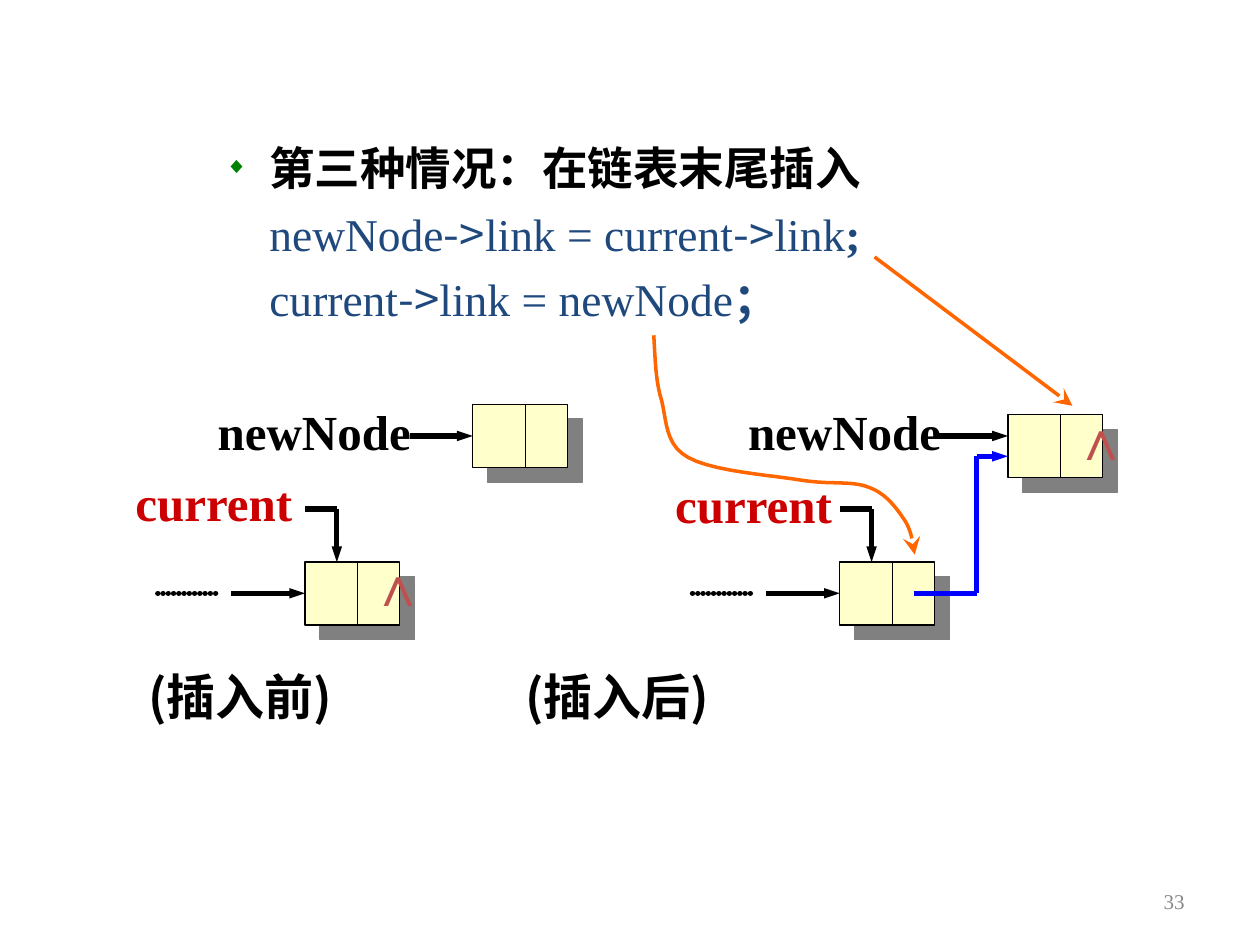
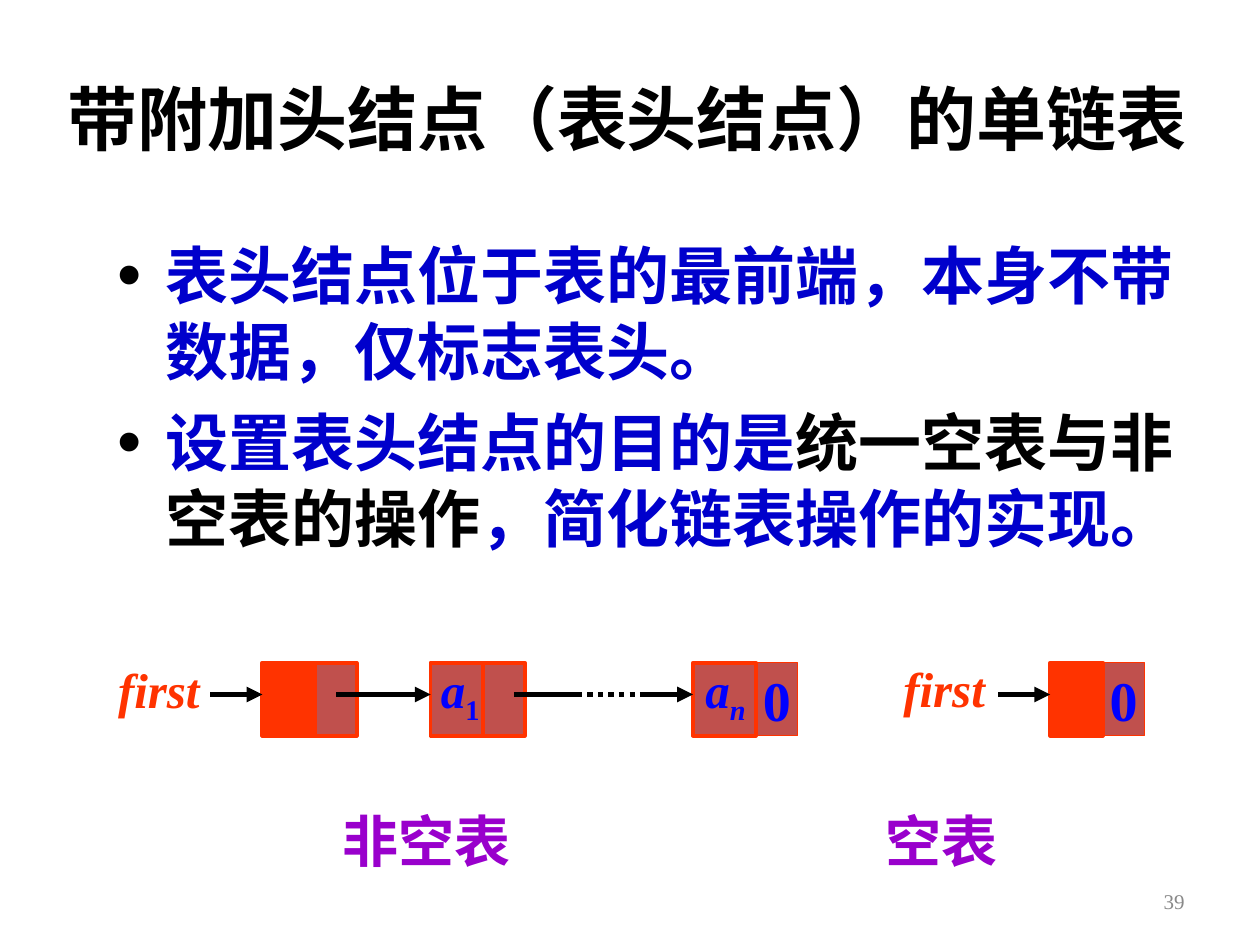
from lxml.etree import SubElement
from pptx import Presentation
from pptx.dml.color import RGBColor
from pptx.enum.dml import MSO_LINE
from pptx.enum.shapes import MSO_CONNECTOR, MSO_SHAPE
from pptx.enum.text import MSO_ANCHOR, PP_ALIGN
from pptx.oxml.ns import qn
from pptx.util import Cm, Pt

BLACK = RGBColor(0x00, 0x00, 0x00)
GRAY = RGBColor(0x89, 0x89, 0x89)
SHADOW = "808080"
GREEN = RGBColor(0x00, 0x80, 0x00)
NAVY = RGBColor(0x1F, 0x49, 0x7D)
BLUE = RGBColor(0x00, 0x00, 0xFF)
DEEP_BLUE = RGBColor(0x00, 0x00, 0xCC)
CREAM = RGBColor(0xFF, 0xFF, 0xCC)
RED = RGBColor(0xCC, 0x00, 0x00)
BRICK = RGBColor(0xC0, 0x50, 0x4D)
SCARLET = RGBColor(0xFF, 0x33, 0x00)
ORANGE = RGBColor(0xFF, 0x66, 0x00)
PURPLE = RGBColor(0x99, 0x00, 0xCC)

SERIF = "Times New Roman"
SANS = "Noto Sans CJK SC"


class Deck:
    """Style and current slide, with one method per kind of element."""

    def __init__(self):
        self.presentation = Presentation()
        self.presentation.slide_width = Cm(25.4)
        self.presentation.slide_height = Cm(19.05)
        self.slide = None

    def new_slide(self, number):
        layout = self.presentation.slide_layouts[6]
        self.slide = self.presentation.slides.add_slide(layout)
        self.text(18.21, 17.65, 5.92, 1.02, number, 12, GRAY, bold=False,
                  align=PP_ALIGN.RIGHT, anchor=MSO_ANCHOR.MIDDLE)

    def style(self, font, size, color, name=SERIF, bold=True, italic=False):
        font.size, font.name = Pt(size), name
        font.bold, font.italic = bold, italic
        font.color.rgb = color

    def frame(self, left, top, width, height):
        box = self.slide.shapes.add_textbox(Cm(left), Cm(top), Cm(width), Cm(height))
        box.text_frame.word_wrap = True
        return box.text_frame

    def text(self, left, top, width, height, words, size, color, name=SERIF,
             bold=True, italic=False, align=PP_ALIGN.LEFT, anchor=MSO_ANCHOR.TOP):
        frame = self.frame(left, top, width, height)
        frame.vertical_anchor = anchor
        paragraph = frame.paragraphs[0]
        paragraph.alignment = align
        paragraph.add_run().text = words
        self.style(paragraph.font, size, color, name, bold, italic)
        return paragraph

    def indent(self, paragraph, margin, hanging=0, bullet=None, color=BLACK, percent=100):
        properties = paragraph._p.get_or_add_pPr()
        properties.set("marL", str(Cm(margin)))
        properties.set("indent", str(-Cm(hanging)))
        if bullet:
            bullet_color = SubElement(properties, qn("a:buClr"))
            SubElement(bullet_color, qn("a:srgbClr"), val=str(color))
            SubElement(properties, qn("a:buSzPct"), val=str(percent * 1000))
            SubElement(properties, qn("a:buFont"), typeface="Arial")
            SubElement(properties, qn("a:buChar"), char=bullet)

    def runs(self, paragraph, size, parts):
        """Add (words, color, font name, bold) runs."""
        for words, color, name, bold in parts:
            run = paragraph.add_run()
            run.text = words
            self.style(run.font, size, color, name, bold)

    def box(self, left, top, width, height, fill, line, weight, shadow=False):
        shape = self.slide.shapes.add_shape(
            MSO_SHAPE.RECTANGLE, Cm(left), Cm(top), Cm(width), Cm(height))
        shape.shadow.inherit = False
        shape.fill.solid()
        shape.fill.fore_color.rgb = fill
        shape.line.color.rgb = line
        shape.line.width = Pt(weight)
        if shadow:
            effects = shape._element.spPr.find(qn("a:effectLst"))
            outer = SubElement(effects, qn("a:outerShdw"), dist=str(Pt(8.5 * 2 ** 0.5)),
                               dir="2700000", algn="ctr", rotWithShape="0")
            SubElement(outer, qn("a:srgbClr"), val=SHADOW)
        return shape

    def arrowhead(self, line, kind, width, length):
        SubElement(line._get_or_add_ln(), qn("a:tailEnd"), type=kind, w=width, len=length)

    def line(self, x1, y1, x2, y2, color=BLACK, weight=3, head=None, dash=None):
        """Draw a line; head is (kind, width, length)."""
        connector = self.slide.shapes.add_connector(
            MSO_CONNECTOR.STRAIGHT, Cm(x1), Cm(y1), Cm(x2), Cm(y2))
        SubElement(connector._element.spPr, qn("a:effectLst"))
        connector.line.color.rgb = color
        connector.line.width = Pt(weight)
        if dash:
            connector.line.dash_style = dash
        if head:
            self.arrowhead(connector.line, *head)
        return connector

    def curve(self, start, segments, color, weight, head):
        """Draw joined cubic curves, each given by two controls and an end."""
        points, steps = [], 10
        origin = start
        for a, b, end in segments:
            for step in range(1, steps + 1):
                t = step / steps
                points.append(tuple(
                    Cm((1 - t) ** 3 * p + 3 * t * (1 - t) ** 2 * q
                       + 3 * t * t * (1 - t) * r + t ** 3 * s)
                    for p, q, r, s in zip(origin, a, b, end)))
            origin = end
        builder = self.slide.shapes.build_freeform(Cm(start[0]), Cm(start[1]))
        builder.add_line_segments(points, close=False)
        shape = builder.convert_to_shape()
        shape.shadow.inherit = False
        shape.fill.background()
        shape.line.color.rgb = color
        shape.line.width = Pt(weight)
        self.arrowhead(shape.line, *head)


SLIM = ("triangle", "sm", "med")
PLAIN = ("triangle", "med", "med")
STEALTH = ("stealth", "lg", "lg")


# Slide with insertion at the end of a list
def shadow_node(deck, left, top):
    deck.box(left, top, 1.91, 1.27, CREAM, BLACK, 0.75, shadow=True)
    deck.line(left + 1.06, top, left + 1.06, top + 1.27, weight=0.75)


def new_node(deck, left, top, label_left, arrow_start):
    shadow_node(deck, left, top)
    deck.text(label_left, 7.96, 4.8, 1.45, "newNode", 28, BLACK)
    deck.line(arrow_start, 8.79, left, 8.79, head=SLIM)


def current_node(deck, left, label_left, label_top):
    shadow_node(deck, left, 11.33)
    deck.line(left - 1.49, 11.96, left, 11.96, head=SLIM)
    dots = deck.line(left - 2.97, 11.96, left - 1.7, 11.96)
    outline = dots.line._get_or_add_ln()
    outline.set("cap", "rnd")
    pattern = SubElement(outline, qn("a:custDash"))
    SubElement(pattern, qn("a:ds"), d="1000", sp="99000")
    deck.line(left, 10.26, left + 0.64, 10.26)
    deck.line(left + 0.64, 10.26, left + 0.64, 11.33, head=SLIM)
    deck.text(label_left, label_top, 3.68, 1.45, "current", 28, RED, align=PP_ALIGN.RIGHT)


def insertion_slide(deck):
    deck.new_slide("33")

    # Case and code
    frame = deck.frame(2.87, 2.69, 22.2, 6)
    heading = frame.paragraphs[0]
    deck.indent(heading, 2.31, 0.89, "◆", GREEN, 50)
    deck.runs(heading, 26, [("第三种情况：在链表末尾插入", BLACK, "Calibri", True)])
    statements = [("newNode", "link = current", "link", ";"),
                  ("current", "link = newNode", "", "；")]
    for target, value, field, end in statements:
        paragraph = frame.add_paragraph()
        paragraph.space_before = Pt(6.5)
        deck.indent(paragraph, 2.31)
        parts = [(target, NAVY, SERIF, False), ("->", NAVY, SANS, False),
                 (value, NAVY, SERIF, False)]
        if field:
            parts += [("->", NAVY, SANS, False), (field, NAVY, SERIF, False)]
        deck.runs(paragraph, 26, parts + [(end, NAVY, SERIF, True)])

    # Before and after
    new_node(deck, 9.53, 8.15, 4.14, 8.26)
    new_node(deck, 20.32, 8.36, 14.83, 18.85)
    current_node(deck, 6.15, 2.46, 9.4)
    current_node(deck, 16.93, 13.34, 9.45)
    for left, top in ((21.39, 8.03), (7.21, 10.97)):
        deck.text(left, top, 1.6, 1.63, "∧", 32, BRICK, "Arial")
    for left, words in ((2.74, "(插入前)"), (10.34, "(插入后)")):
        deck.text(left, 13.31, 5.5, 1.45, words, 28, BLACK, SANS)

    # New link
    deck.line(18.42, 11.96, 19.69, 11.96, BLUE)
    deck.line(19.69, 11.96, 19.69, 9.2, BLUE)
    deck.line(19.69, 9.2, 20.32, 9.2, BLUE, head=SLIM)

    # Pointers from code to links
    deck.line(17.63, 5.18, 21.62, 8.18, ORANGE, 2, STEALTH)
    deck.curve((13.18, 6.76), [
        ((13.21, 7.21), (13.21, 7.67), (13.34, 8.08)),
        ((13.44, 8.48), (13.41, 8.97), (13.87, 9.22)),
        ((14.35, 9.5), (15.54, 9.58), (16.15, 9.68)),
        ((16.76, 9.78), (17.17, 9.68), (17.53, 9.83)),
        ((17.88, 9.96), (18.08, 10.26), (18.24, 10.49)),
        ((18.39, 10.72), (18.42, 11.05), (18.44, 11.18)),
    ], ORANGE, 2, STEALTH)


# Slide with the head node
def list_node(deck, left, data_width=1.06, fill=BRICK, null=False):
    if null:
        link = deck.box(left + data_width, 13.36, 0.84, 1.47, BRICK, SCARLET, 0.75)
        frame = link.text_frame
        frame.word_wrap = False
        frame.margin_left = frame.margin_right = 0
        frame.vertical_anchor = MSO_ANCHOR.MIDDLE
        paragraph = frame.paragraphs[0]
        paragraph.alignment = PP_ALIGN.CENTER
        paragraph.add_run().text = "0"
        deck.style(paragraph.font, 32, BLUE)
    else:
        deck.box(left + data_width, 13.36, 0.84, 1.47, BRICK, SCARLET, 2.25)
    deck.box(left, 13.36, data_width, 1.47, fill, SCARLET, 2.25)


def element_label(deck, left, index, italic):
    paragraph = deck.text(left, 13.16, 1.7, 1.6, "a", 28, BLUE, italic=True)
    subscript = paragraph.add_run()
    subscript.text = index
    subscript.font.italic = italic
    subscript.font._element.set("baseline", "-25000")


def head_node_slide(deck):
    deck.new_slide("39")
    deck.text(0.89, 1.32, 23.5, 2.11, "带附加头结点（表头结点）的单链表", 40, BLACK,
              align=PP_ALIGN.CENTER, anchor=MSO_ANCHOR.MIDDLE)

    # Purpose of the head node
    frame = deck.frame(2.11, 4.65, 22.23, 6.78)
    points = [[("表头结点位于表的最前端，本身不带数据，仅标志表头。", DEEP_BLUE)],
              [("设置表头结点的目的是", DEEP_BLUE), ("统一空表与非空表的操作", BLACK),
               ("，简化链表操作的实现。", DEEP_BLUE)]]
    for position, parts in enumerate(points):
        paragraph = frame.add_paragraph() if position else frame.paragraphs[0]
        if position:
            paragraph.space_before = Pt(9)
        deck.indent(paragraph, 0.97, 0.97, "•", BLACK, 110)
        deck.runs(paragraph, 36, [(words, color, SERIF, True) for words, color in parts])

    # Nodes of the two lists
    list_node(deck, 5.29, fill=SCARLET)
    list_node(deck, 8.68)
    list_node(deck, 13.97, data_width=1.27, null=True)
    list_node(deck, 21.17, fill=SCARLET, null=True)
    element_label(deck, 8.64, "1", False)
    element_label(deck, 13.97, "n", True)

    # Links
    for start, end in ((4.24, 5.29), (6.78, 8.68), (12.9, 13.97), (20.12, 21.17)):
        deck.line(start, 14, end, 14, head=PLAIN)
    deck.line(10.36, 14, 11.63, 14)
    deck.line(11.63, 14, 12.9, 14, dash=MSO_LINE.ROUND_DOT)

    # Names
    for left, top in ((2.13, 13.18), (17.96, 13.16)):
        deck.text(left, top, 2.6, 1.45, "first", 28, SCARLET, italic=True)
    for left, words in ((6.65, "非空表"), (17.6, "空表")):
        deck.text(left, 16.13, 5, 1.68, words, 32, PURPLE, SANS)


def main():
    deck = Deck()
    insertion_slide(deck)
    head_node_slide(deck)
    deck.presentation.save("out.pptx")


if __name__ == "__main__":
    main()
